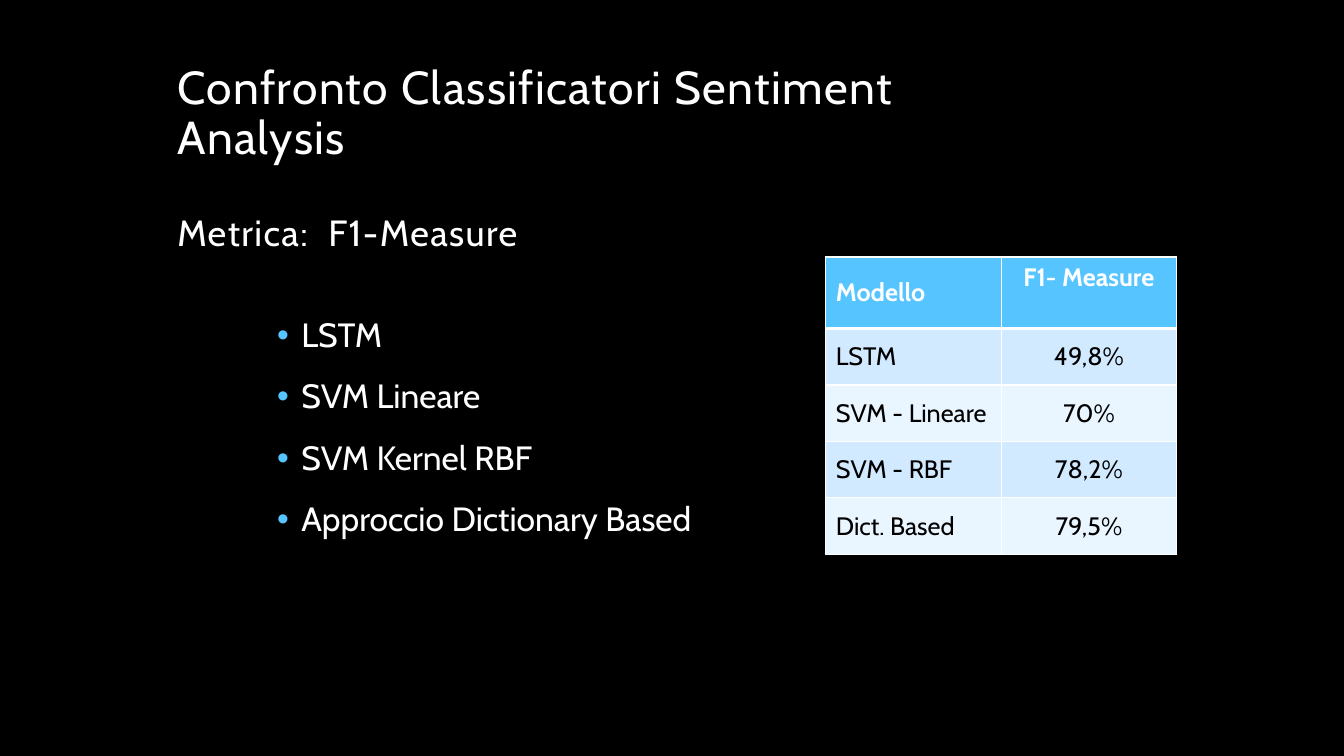
from dataclasses import dataclass

from lxml.etree import SubElement
from pptx import Presentation
from pptx.dml.color import RGBColor
from pptx.enum.text import MSO_ANCHOR as Anchor, PP_ALIGN as Align
from pptx.oxml.ns import qn
from pptx.util import Inches, Pt

FONT = "Cabin"
COLORS = {
    "background": "000000",
    "light": "FFFFFF",
    "dark": "000000",
    "accent": "56C5FF",
    "band_odd": "D1EAFF",
    "band_even": "E9F5FF",
}


@dataclass
class Line:
    text: str
    size: float
    space_before: float = 0
    tracking: float = 0
    bullet: bool = False


@dataclass
class TextArea:
    left: float
    top: float
    width: float
    height: float
    anchor: Anchor
    lines: list[Line]


MODELS = ["LSTM", "SVM Lineare", "SVM Kernel RBF", "Approccio Dictionary Based"]
TITLE = TextArea(1.66, 0.84, 9.02, 1.73, Anchor.BOTTOM, [
    Line("Confronto Classificatori Sentiment Analysis", 33, tracking=1),
    Line("Metrica:  F1-Measure", 26, space_before=36, tracking=1),
])
BODY = TextArea(2.65, 3.11, 4.83, 2.39, Anchor.TOP, [
    Line(model, 24, space_before=18 if index else 0, bullet=True)
    for index, model in enumerate(MODELS)
])
SCORES = [
    ("Modello", "F1- Measure"),
    ("LSTM", "49,8%"),
    ("SVM - Lineare", "70%"),
    ("SVM - RBF", "78,2%"),
    ("Dict. Based", "79,5%"),
]
HEADER_HEIGHT, ROW_HEIGHT, COLUMN_WIDTH = 0.71, 0.56, 1.74


def color(name: str) -> RGBColor:
    return RGBColor.from_string(COLORS[name])


def add_span(para, text: str, size: float, ink: str, bold: bool = False, tracking: float = 0) -> None:
    span = para.add_run()
    span.text = text
    font = span.font
    font.name, font.size, font.bold = FONT, Pt(size), bold
    font.color.rgb = color(ink)
    if tracking:
        span._r.get_or_add_rPr().set("spc", str(int(tracking * 100)))


def add_bullet(para) -> None:
    properties = para._p.get_or_add_pPr()
    properties.set("marL", str(Inches(0.24)))
    properties.set("indent", str(-Inches(0.24)))
    bullet_color = SubElement(properties, qn("a:buClr"))
    SubElement(bullet_color, qn("a:srgbClr"), val=COLORS["accent"])
    SubElement(properties, qn("a:buFont"), typeface="Arial")
    SubElement(properties, qn("a:buChar"), char="•")


def add_text_area(page, area: TextArea) -> None:
    box = page.shapes.add_textbox(
        Inches(area.left), Inches(area.top), Inches(area.width), Inches(area.height))
    frame = box.text_frame
    frame.word_wrap = True
    frame.vertical_anchor = area.anchor
    for index, line in enumerate(area.lines):
        para = frame.add_paragraph() if index else frame.paragraphs[0]
        if line.bullet:
            add_bullet(para)
        para.line_spacing = 0.9
        para.space_before = Pt(line.space_before)
        add_span(para, line.text, line.size, "light", tracking=line.tracking)


def add_borders(cell, top: float, bottom: float) -> None:
    properties = cell._tc.get_or_add_tcPr()
    for side, width in {"L": 1, "R": 1, "T": top, "B": bottom}.items():
        border = SubElement(properties, qn(f"a:ln{side}"), w=str(Pt(width)))
        fill = SubElement(border, qn("a:solidFill"))
        SubElement(fill, qn("a:srgbClr"), val=COLORS["light"])


def add_score_table(page) -> None:
    rows, columns = len(SCORES), len(SCORES[0])
    height = HEADER_HEIGHT + ROW_HEIGHT * (rows - 1)
    table = page.shapes.add_table(
        rows, columns, Inches(8.19), Inches(2.55),
        Inches(COLUMN_WIDTH * columns), Inches(height)).table
    for column in table.columns:
        column.width = Inches(COLUMN_WIDTH)
    for r, values in enumerate(SCORES):
        header = r == 0
        table.rows[r].height = Inches(HEADER_HEIGHT if header else ROW_HEIGHT)
        fill = "accent" if header else "band_odd" if r % 2 else "band_even"
        for c, value in enumerate(values):
            cell = table.cell(r, c)
            add_borders(cell, top=3 if r == 1 else 1, bottom=3 if header else 1)
            cell.fill.solid()
            cell.fill.fore_color.rgb = color(fill)
            cell.vertical_anchor = Anchor.TOP if header and c else Anchor.MIDDLE
            para = cell.text_frame.paragraphs[0]
            para.alignment = Align.CENTER if c else Align.LEFT
            add_span(para, value, 18, "light" if header else "dark", bold=header)


def main() -> None:
    deck = Presentation()
    deck.slide_width, deck.slide_height = Inches(13.33), Inches(7.5)
    page = deck.slides.add_slide(deck.slide_layouts[6])
    page.background.fill.solid()
    page.background.fill.fore_color.rgb = color("background")
    for area in (TITLE, BODY):
        add_text_area(page, area)
    add_score_table(page)
    deck.save("out.pptx")


if __name__ == "__main__":
    main()
